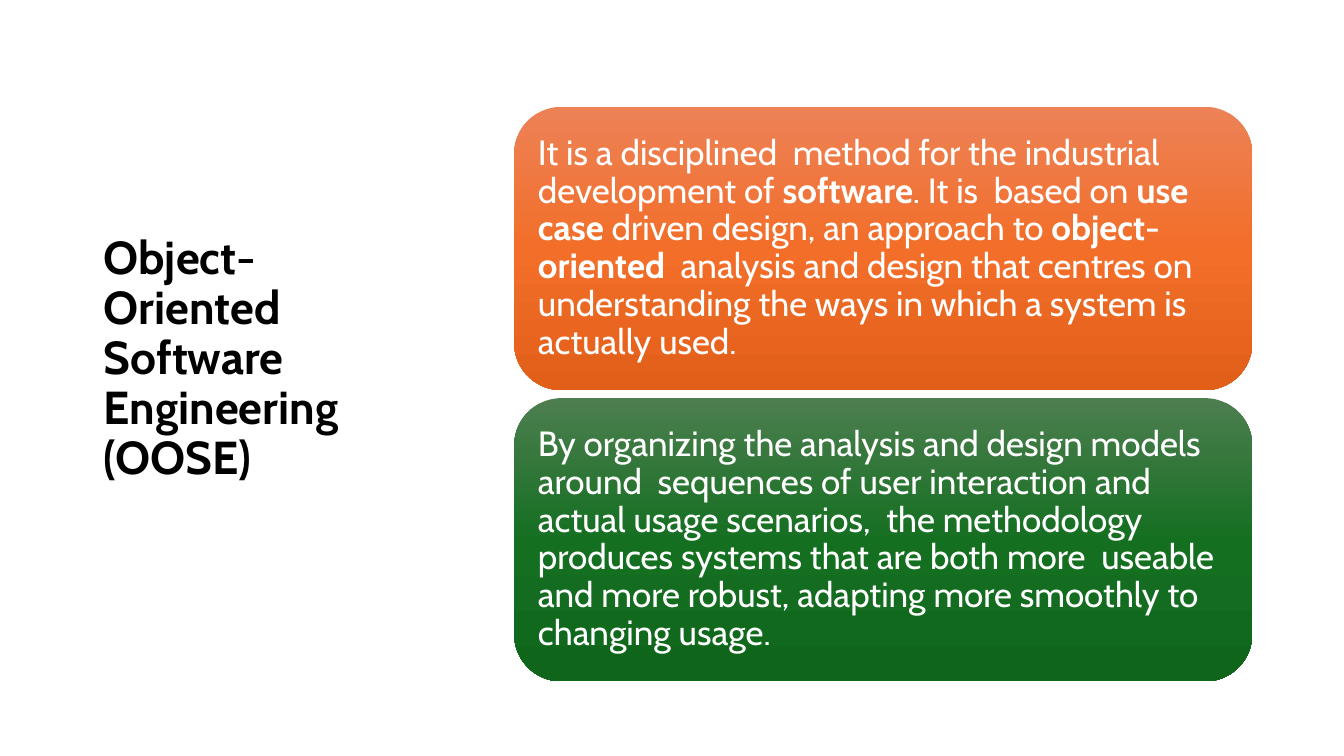
from copy import deepcopy

from pptx import Presentation
from pptx import util as u
from pptx.dml.color import RGBColor
from pptx.enum import shapes, text

WIDTH, HEIGHT = 13.33, 7.5
FONT = "Cabin"
COLOURS = {"title": "000000", "card_text": "FFFFFF"}
GRADIENTS = {
    "orange": ["ED8257", "F26E29", "E25F1A"],
    "green": ["4D7E50", "156F21", "0F661B"],
}
TITLE_BOX = (0.93, 1.24, 3, 4.65)
CARDS_BOX = (5.1, 1.06, 7.32, 5.7)
CARD_GAP = 0.08

TITLE = [("Object", True), ("-", False),
         ("Oriented Software Engineering (OOSE) ", True)]
CARDS = [
    ("orange", [
        ("It is a disciplined  method for the industrial development of ", False),
        ("software", True),
        (". It is  based on ", False),
        ("use case ", True),
        ("driven design, an approach to ", False),
        ("object", True),
        ("-", False),
        ("oriented  ", True),
        ("analysis and design that centres on  understanding the ways "
         "in which a system is actually used.", False),
    ]),
    ("green", [
        ("By organizing the analysis and design models around  sequences of "
         "user interaction and actual usage scenarios,  the methodology "
         "produces systems that are both more  useable and more robust, "
         "adapting more smoothly to  changing usage.", False),
    ]),
]


def write_text(frame, runs, size, colour):
    """Fill a text frame with one left-aligned paragraph of (words, bold) runs."""
    frame.word_wrap = True
    frame.auto_size = text.MSO_AUTO_SIZE.NONE
    frame.vertical_anchor = text.MSO_ANCHOR.MIDDLE
    paragraph = frame.paragraphs[0]
    paragraph.alignment = text.PP_ALIGN.LEFT
    paragraph.line_spacing = 0.9
    for words, bold in runs:
        run = paragraph.add_run()
        run.text = words
        run.font.name = FONT
        run.font.size = u.Pt(size)
        run.font.bold = bold
        run.font.color.rgb = RGBColor.from_string(colour)


def fill_gradient(shape, colours):
    """Fill a shape from top to bottom with evenly spaced colours."""
    shape.fill.gradient()
    shape.fill.gradient_angle = 270
    first = shape.fill.gradient_stops[0]._gs
    for _ in colours[2:]:
        first.addnext(deepcopy(first))
    for index, (stop, colour) in enumerate(zip(shape.fill.gradient_stops, colours)):
        stop.position = index / (len(colours) - 1)
        stop.color.rgb = RGBColor.from_string(colour)


def add_title(slide, box):
    """Place the title placeholder in the box."""
    title = slide.shapes.title
    title.left, title.top, title.width, title.height = map(u.Inches, box)
    write_text(title.text_frame, TITLE, 33, COLOURS["title"])


def add_cards(slide, box):
    """Stack the rounded cards in the box with equal heights."""
    left, top, width, height = box
    card_height = (height - CARD_GAP * (len(CARDS) - 1)) / len(CARDS)
    for index, (gradient, runs) in enumerate(CARDS):
        card_top = top + index * (card_height + CARD_GAP)
        card = slide.shapes.add_shape(
            shapes.MSO_SHAPE.ROUNDED_RECTANGLE,
            *map(u.Inches, (left, card_top, width, card_height)))
        card.shadow.inherit = False
        card.line.fill.background()
        fill_gradient(card, GRADIENTS[gradient])
        frame = card.text_frame
        frame.margin_left = frame.margin_right = u.Inches(0.1)
        frame.margin_top = frame.margin_bottom = u.Inches(0.1)
        write_text(frame, runs, 25, COLOURS["card_text"])


def main():
    """Build and save the presentation."""
    presentation = Presentation()
    presentation.slide_width = u.Inches(WIDTH)
    presentation.slide_height = u.Inches(HEIGHT)
    slide = presentation.slides.add_slide(presentation.slide_layouts[5])
    add_title(slide, TITLE_BOX)
    add_cards(slide, CARDS_BOX)
    presentation.save("out.pptx")


if __name__ == "__main__":
    main()
